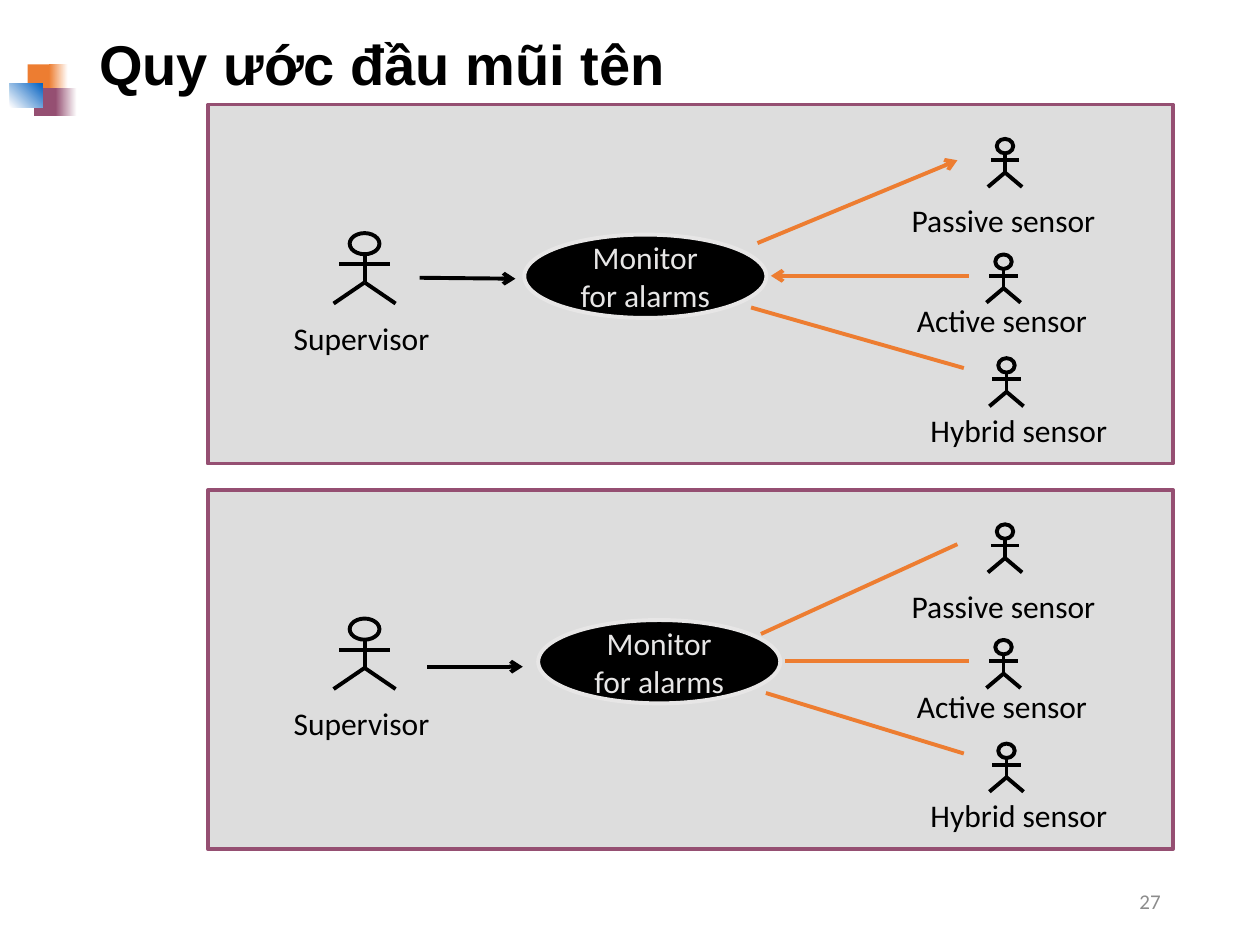
from dataclasses import dataclass

from lxml.etree import SubElement
from pptx import Presentation
from pptx.dml.color import RGBColor
from pptx.enum.shapes import MSO_CONNECTOR as Connector, MSO_SHAPE as Preset
from pptx.enum.text import MSO_ANCHOR as Anchor, MSO_AUTO_SIZE as AutoSize, PP_ALIGN as Align
from pptx.oxml.ns import qn
from pptx.util import Cm, Pt

COLORS = {
    "ink": "000000", "paper": "FFFFFF", "panel": "DDDDDD", "border": "954F72",
    "accent": "ED7D31", "blue": "0563C1", "pale": "E7E6E6", "number": "8C8C8C",
}
PANEL_LEFT, PANEL_WIDTH, PANEL_HEIGHT = 4.19, 19.46, 7.24


@dataclass(frozen=True)
class Actor:
    name: str
    center: float
    top: float
    width: float
    height: float
    label_left: float
    label_top: float
    label_width: float
    align: Align = Align.CENTER


@dataclass(frozen=True)
class Link:
    start: tuple[float, float]
    end: tuple[float, float]
    color: str = "accent"
    arrow: bool = False


@dataclass(frozen=True)
class Panel:
    top: float
    use_case_left: float
    links: tuple[Link, ...]


@dataclass(frozen=True)
class Tile:
    left: float
    top: float
    width: float
    height: float
    colors: tuple[str, ...]
    angle: int = 0


TILES = (
    Tile(0.56, 1.3, 0.51, 0.56, ("accent",)),
    Tile(0.99, 1.3, 0.38, 0.56, ("accent", "paper")),
    Tile(0.69, 1.78, 0.48, 0.56, ("border",)),
    Tile(1.12, 1.78, 0.43, 0.56, ("border", "paper")),
    Tile(0.2, 1.68, 0.66, 0.48, ("paper", "blue"), 45),
)
ACTORS = (
    Actor("Supervisor", 7.35, 2.59, 1.25, 1.42, 5.69, 4.22, 3.45, Align.LEFT),
    Actor("Passive sensor", 20.26, 0.69, 0.69, 0.97, 17.27, 1.85, 5.92),
    Actor("Active sensor", 20.23, 3.02, 0.69, 0.97, 18.08, 3.86, 4.24),
    Actor("Hybrid sensor", 20.29, 5.11, 0.69, 0.97, 18.14, 6.07, 4.8),
)
PANELS = (
    Panel(2.11, 10.57, (
        Link((8.46, 3.49), (10.39, 3.51), "ink", True),
        Link((15.27, 2.79), (19.3, 1.12), arrow=True),
        Link((19.53, 3.45), (15.54, 3.45), arrow=True),
        Link((15.14, 4.09), (19.43, 5.31)),
    )),
    Panel(9.88, 10.85, (
        Link((8.61, 3.56), (10.54, 3.56), "ink", True),
        Link((15.34, 2.9), (19.3, 1.09)),
        Link((15.82, 3.45), (19.53, 3.45)),
        Link((15.44, 4.09), (19.43, 5.31)),
    )),
)


def rgb(color: str) -> RGBColor:
    return RGBColor.from_string(COLORS[color])


def write(frame, content: str, *, size=18, color="ink", font="Calibri", bold=False,
          align=Align.LEFT, anchor=Anchor.TOP, insets=(0.25, 0.13), spacing=None,
          auto_size=AutoSize.NONE) -> None:
    frame.word_wrap = True
    frame.auto_size = auto_size
    frame.vertical_anchor = anchor
    frame.margin_left = frame.margin_right = Cm(insets[0])
    frame.margin_top = frame.margin_bottom = Cm(insets[1])
    paragraph = frame.paragraphs[0]
    paragraph.alignment = align
    paragraph.line_spacing = spacing
    run = paragraph.add_run()
    run.text = content
    run.font.size, run.font.name, run.font.bold = Pt(size), font, bold
    run.font.color.rgb = rgb(color)


def add_box(shapes, preset: Preset, left: float, top: float, width: float, height: float,
            fill: str | None = None, line: str | None = None, weight: float = 2.25):
    box = shapes.add_shape(preset, Cm(left), Cm(top), Cm(width), Cm(height))
    box.shadow.inherit = False
    if fill:
        box.fill.solid()
        box.fill.fore_color.rgb = rgb(fill)
    else:
        box.fill.background()
    if line:
        box.line.color.rgb = rgb(line)
        box.line.width = Pt(weight)
    else:
        box.line.fill.background()
    return box


def add_line(shapes, link: Link, top: float = 0) -> None:
    (x1, y1), (x2, y2) = link.start, link.end
    line = shapes.add_connector(Connector.STRAIGHT, Cm(x1), Cm(top + y1), Cm(x2), Cm(top + y2))
    line.line.color.rgb = rgb(link.color)
    line.line.width = Pt(2.25)
    if link.arrow:
        SubElement(line.line._get_or_add_ln(), qn("a:tailEnd"), type="arrow")
    SubElement(line._element.spPr, qn("a:effectLst"))


def add_tile(shapes, tile: Tile) -> None:
    square = add_box(shapes, Preset.RECTANGLE, tile.left, tile.top, tile.width, tile.height,
                     tile.colors[0])
    if len(tile.colors) > 1:
        square.fill.gradient()
        square.fill.gradient_angle = tile.angle
        for stop, color in zip(square.fill.gradient_stops, tile.colors):
            stop.color.rgb = rgb(color)


def add_actor(shapes, actor: Actor, panel_top: float) -> None:
    top, center = panel_top + actor.top, actor.center
    head_width = 0.48 * actor.width
    neck, arms, hip, feet = (top + share * actor.height for share in (0.3, 0.44, 0.7, 1))
    reach, stride = 0.41 * actor.width, 0.5 * actor.width
    add_box(shapes, Preset.OVAL, center - head_width / 2, top, head_width, neck - top, line="ink")
    for start, end in (
        ((center, neck), (center, hip)),
        ((center - reach, arms), (center + reach, arms)),
        ((center + stride, feet), (center, hip)),
        ((center - stride, feet), (center, hip)),
    ):
        add_line(shapes, Link(start, end, "ink"))
    label = shapes.add_textbox(Cm(actor.label_left), Cm(panel_top + actor.label_top),
                               Cm(actor.label_width), Cm(0.99))
    write(label.text_frame, actor.name, align=actor.align, insets=(0.23, 0.1),
          auto_size=AutoSize.SHAPE_TO_FIT_TEXT)


def add_panel(slide, panel: Panel) -> None:
    shapes = slide.shapes.add_group_shape().shapes
    add_box(shapes, Preset.RECTANGLE, PANEL_LEFT, panel.top, PANEL_WIDTH, PANEL_HEIGHT,
            "panel", "border", 2)
    for actor in ACTORS:
        add_actor(shapes, actor, panel.top)
    for link in panel.links:
        add_line(shapes, link, panel.top)
    use_case = add_box(shapes, Preset.OVAL, panel.use_case_left, panel.top + 2.62, 4.88, 1.68,
                       "ink", "pale")
    write(use_case.text_frame, "Monitor for alarms", color="pale", align=Align.CENTER,
          anchor=Anchor.MIDDLE, insets=(0.3, 0.15))


def main() -> None:
    deck = Presentation()
    deck.slide_width, deck.slide_height = Cm(25.4), Cm(19.05)
    slide = deck.slides.add_slide(deck.slide_layouts[5])

    heading = slide.shapes.title
    heading.left, heading.top, heading.width, heading.height = Cm(1.75), Cm(0.33), Cm(21.9), Cm(2.06)
    write(heading.text_frame, "Quy ước đầu mũi tên", size=32, font="Arial", bold=True,
          anchor=Anchor.MIDDLE, spacing=0.9)

    emblem = slide.shapes.add_group_shape().shapes
    for tile in TILES:
        add_tile(emblem, tile)
    for panel in PANELS:
        add_panel(slide, panel)

    page_number = slide.shapes.add_textbox(Cm(17.93), Cm(17.65), Cm(5.72), Cm(1.02))
    write(page_number.text_frame, "27", size=12, color="number", align=Align.RIGHT,
          anchor=Anchor.MIDDLE)
    deck.save("out.pptx")


if __name__ == "__main__":
    main()
